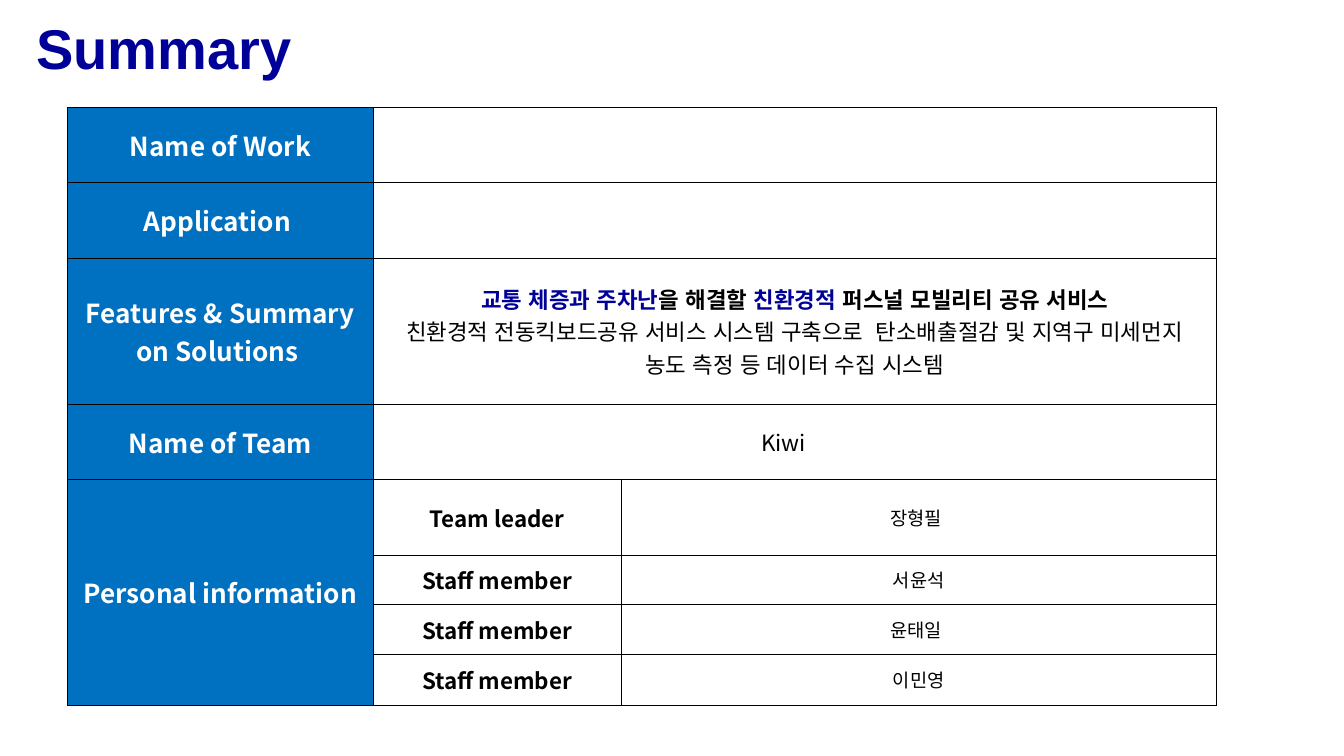
import dataclasses

import lxml.etree
import pptx
import pptx.dml.color
import pptx.enum.lang
import pptx.enum.text
import pptx.oxml.ns
import pptx.util


@dataclasses.dataclass(frozen=True)
class Theme:
    navy: str = "000099"
    blue: str = "0070C0"
    white: str = "FFFFFF"
    black: str = "000000"
    title_font: str = "Arial"
    latin_font: str = "Noto Sans CJK SC"
    korean_font: str = "Noto Sans CJK KR"
    title_size: int = 30
    heading_size: int = 14
    body_size: int = 12
    name_size: int = 10
    border_width: float = 0.45


THEME = Theme()
SLIDE_SIZE = (10, 10 * 9 / 16)
COLUMNS = (2.28, 1.84, 4.43)
ROWS = (0.56, 0.56, 1.09, 0.56, 0.56, 0.37, 0.37, 0.38)
NARROW, MEDIUM, WIDE = 0.01, 0.11, 0.12

HEADINGS = (
    (0, NARROW, ("Name of Work",)),
    (1, NARROW, ("Application ",)),
    (2, NARROW, ("Features ", "&", " Summary on Solutions ")),
    (3, NARROW, ("Name of Team",)),
    (4, MEDIUM, ("Personal information ",)),
)
SUMMARY = (
    ("교통 체증과 주차난", THEME.navy),
    ("을 해결할 ", THEME.black),
    ("친환경적", THEME.navy),
    (" 퍼스널 모빌리티 공유 서비스", THEME.black),
)
DETAIL = "친환경적 전동킥보드공유 서비스 시스템 구축으로  탄소배출절감 및 지역구 미세먼지 농도 측정 등 데이터 수집 시스템"
MEMBERS = (
    ("Team leader", "장형필 "),
    ("Staff member", "서윤석"),
    ("Staff member", "윤태일 "),
    ("Staff member", "이민영"),
)


def inches(*values):
    return [pptx.util.Inches(value) for value in values]


def rgb(color):
    return pptx.dml.color.RGBColor.from_string(color)


def add_run(paragraph, text, size, color=THEME.black, bold=False, font=THEME.latin_font):
    run = paragraph.add_run()
    run.text = text
    run.font.size = pptx.util.Pt(size)
    run.font.bold = bold
    run.font.color.rgb = rgb(color)
    run.font.name = font
    run.font.language_id = pptx.enum.lang.MSO_LANGUAGE_ID.KOREAN
    east_asian = lxml.etree.SubElement(run.font._element, pptx.oxml.ns.qn("a:ea"))
    east_asian.set("typeface", font)


def add_title(slide, text):
    title = slide.shapes.title
    title.left, title.top, title.width, title.height = inches(0.17, 0.05, 3.15, 0.6)
    title.text_frame.vertical_anchor = pptx.enum.text.MSO_ANCHOR.MIDDLE
    paragraph = title.text_frame.paragraphs[0]
    paragraph.alignment = pptx.enum.text.PP_ALIGN.LEFT
    add_run(paragraph, text, THEME.title_size, THEME.navy, True, THEME.title_font)


def add_borders(cell):
    properties = cell._tc.get_or_add_tcPr()
    for index, side in enumerate(("lnL", "lnR", "lnT", "lnB")):
        line = lxml.etree.Element(pptx.oxml.ns.qn(f"a:{side}"))
        line.set("w", str(int(pptx.util.Pt(THEME.border_width))))
        fill = lxml.etree.SubElement(line, pptx.oxml.ns.qn("a:solidFill"))
        lxml.etree.SubElement(fill, pptx.oxml.ns.qn("a:srgbClr")).set("val", THEME.black)
        properties.insert(index, line)


def format_cell(cell, fill):
    cell.fill.solid()
    cell.fill.fore_color.rgb = rgb(fill)
    cell.vertical_anchor = pptx.enum.text.MSO_ANCHOR.MIDDLE
    add_borders(cell)


def open_paragraph(cell, margin=NARROW):
    cell.margin_left, cell.margin_right = inches(margin, margin)
    paragraph = cell.text_frame.paragraphs[0]
    paragraph.alignment = pptx.enum.text.PP_ALIGN.CENTER
    return paragraph


def add_grid(slide):
    frame = slide.shapes.add_table(
        len(ROWS), len(COLUMNS), *inches(0.5, 0.8, sum(COLUMNS), sum(ROWS))
    )
    table = frame.table
    for column, width in zip(table.columns, COLUMNS):
        column.width = pptx.util.Inches(width)
    for row, height in zip(table.rows, ROWS):
        row.height = pptx.util.Inches(height)
        for index, cell in enumerate(row.cells):
            format_cell(cell, THEME.white if index else THEME.blue)
    for index in range(4):
        table.cell(index, 1).merge(table.cell(index, 2))
    table.cell(4, 0).merge(table.cell(len(ROWS) - 1, 0))
    return table


def fill_headings(table):
    for row, margin, texts in HEADINGS:
        paragraph = open_paragraph(table.cell(row, 0), margin)
        for text in texts:
            font = THEME.korean_font if text == "&" else THEME.latin_font
            add_run(paragraph, text, THEME.heading_size, THEME.white, True, font)


def fill_summary(table):
    cell = table.cell(2, 1)
    paragraph = open_paragraph(cell, WIDE)
    for text, color in SUMMARY:
        add_run(paragraph, text, THEME.body_size, color, True, THEME.korean_font)
    detail = cell.text_frame.add_paragraph()
    detail.alignment = pptx.enum.text.PP_ALIGN.CENTER
    add_run(detail, DETAIL, THEME.body_size)


def fill_team(table):
    add_run(open_paragraph(table.cell(3, 1), WIDE), "Kiwi　", THEME.body_size)
    for row, (role, name) in enumerate(MEMBERS, 4):
        add_run(open_paragraph(table.cell(row, 1)), role, THEME.body_size, bold=True)
        add_run(open_paragraph(table.cell(row, 2)), name, THEME.name_size)


def main():
    presentation = pptx.Presentation()
    presentation.slide_width, presentation.slide_height = inches(*SLIDE_SIZE)
    slide = presentation.slides.add_slide(presentation.slide_layouts[5])
    add_title(slide, "Summary")
    table = add_grid(slide)
    fill_headings(table)
    fill_summary(table)
    fill_team(table)
    presentation.save("out.pptx")


if __name__ == "__main__":
    main()
